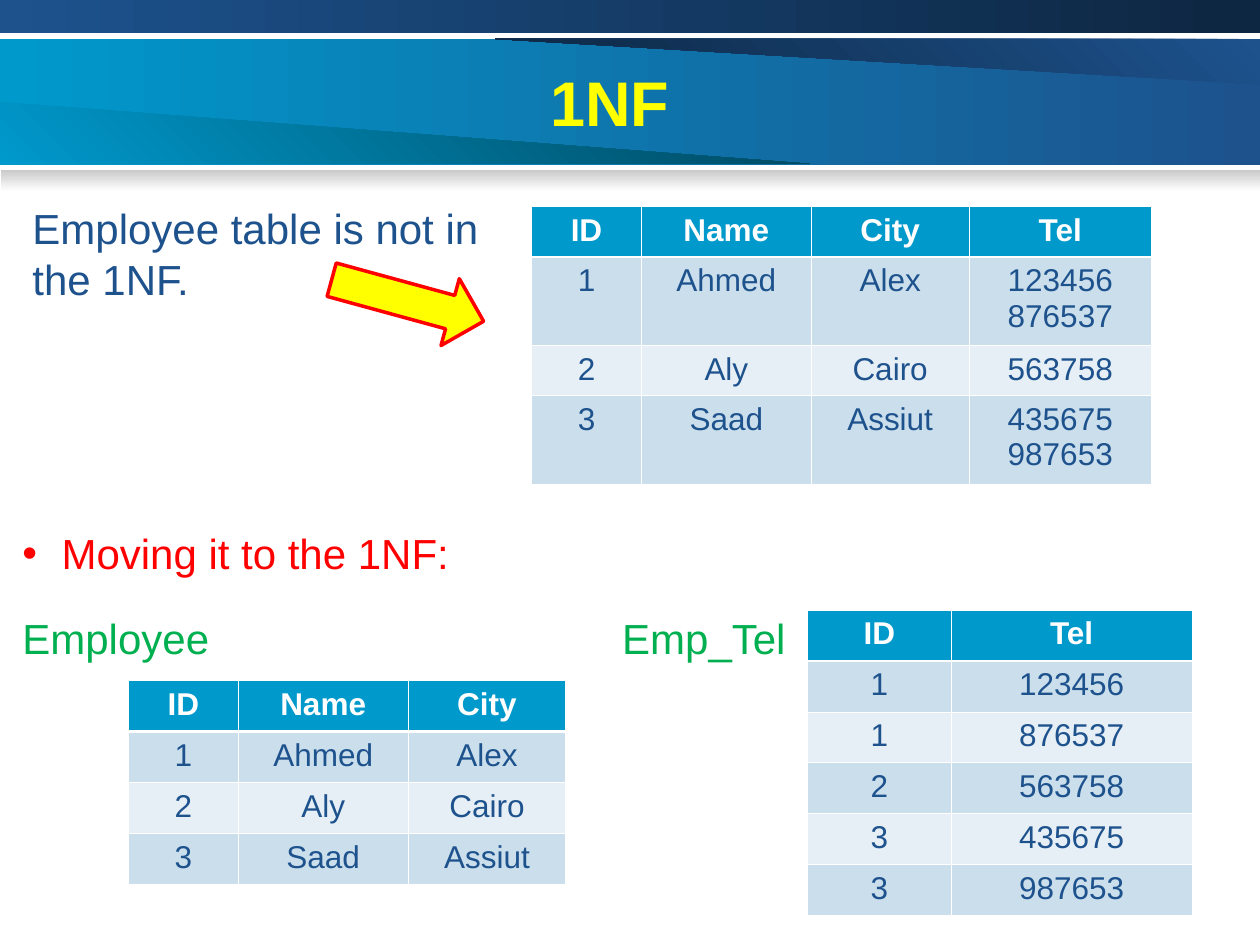
from dataclasses import dataclass
from lxml.etree import SubElement
from pptx import Presentation
from pptx.dml.color import RGBColor as Rgb
from pptx.enum.shapes import MSO_SHAPE as Shape
from pptx.enum.text import MSO_ANCHOR as Anchor, MSO_AUTO_SIZE as AutoSize, PP_ALIGN as Align
from pptx.oxml.ns import qn
from pptx.util import Inches, Pt


@dataclass(frozen=True)
class Theme:
    font: str = "Arial"
    title_size: int = 36
    body_size: int = 24
    cell_size: int = 18
    white: str = "FFFFFF"
    sky: str = "0099CC"
    navy: str = "1D528D"
    midnight: str = "0D2641"
    teal: str = "00475E"
    shade: str = "CACACA"
    odd_row: str = "CBDEEC"
    even_row: str = "E7EFF6"
    yellow: str = "FFFF00"
    red: str = "FF0000"
    green: str = "00B050"


theme = Theme()
deck = Presentation()
deck.slide_width, deck.slide_height = Inches(10), Inches(7.5)
COL, ROW = deck.slide_width / 100, deck.slide_height / 75
slide = deck.slides.add_slide(deck.slide_layouts[5])
shapes = slide.shapes


def grid(left, top, width, height):
    """Turn grid columns and rows into a position and size."""
    return [round(n * unit) for n, unit in zip((left, top, width, height), (COL, ROW, COL, ROW))]


def style(paragraph, size, color, bold=False, align=Align.LEFT):
    paragraph.alignment = align
    look = {"name": theme.font, "size": Pt(size), "bold": bold}
    for key, value in look.items():
        setattr(paragraph.font, key, value)
    paragraph.font.color.rgb = Rgb.from_string(color)


# Header bands, from back to front: outline, start colour, end colour, angle
bands = [
    ([(0, 3.1), (100, 3.1), (100, 13.1), (0, 13.1)], theme.sky, theme.navy, 0),
    ([(39.3, 3.1), (100, 3.1), (100, 6.7)], theme.navy, theme.midnight, 225),
    ([(0, 8.1), (64.3, 13), (0, 13)], theme.sky, theme.teal, 45),
    ([(0, 0), (100, 0), (100, 2.6), (0, 2.6)], theme.navy, theme.midnight, 0),
    ([(0.1, 13.5), (100, 13.5), (100, 15.2), (0.1, 15.2)], theme.shade, theme.white, 270),
]
for outline, start, end, angle in bands:
    if len(outline) == 4:
        (left, top), (right, bottom) = outline[0], outline[2]
        band = shapes.add_shape(Shape.RECTANGLE, *grid(left, top, right - left, bottom - top))
    else:
        points = [(x * COL, y * ROW) for x, y in outline]
        builder = shapes.build_freeform(*points[0])
        builder.add_line_segments(points[1:])
        band = builder.convert_to_shape()
    band.shadow.inherit = False
    band.line.fill.background()
    band.fill.gradient()
    band.fill.gradient_angle = angle
    for stop, color, position in zip(band.fill.gradient_stops, (start, end), (0, 1)):
        stop.color.rgb = Rgb.from_string(color)
        stop.position = position

# Title, brought in front of the bands
title = shapes.title
shapes._spTree.append(title._element)
title.left, title.top, title.width, title.height = grid(3.1, 4.5, 90.6, 7)
title.text_frame.text = "1NF"
title.text_frame.auto_size = AutoSize.NONE
title.text_frame.vertical_anchor = Anchor.MIDDLE
style(title.text_frame.paragraphs[0], theme.title_size, theme.yellow, True, Align.CENTER)

# Statements and table captions
statements = [
    ("Employee table is not in the 1NF.", (1.6, 15.6, 38.3, 9), theme.navy, False),
    ("Moving it to the 1NF:", (0.8, 41.4, 57.8, 5), theme.red, True),
    ("Employee", (0.8, 48.1, 19.4, 5), theme.green, False),
    ("Emp_Tel", (48.4, 48.1, 22.7, 5), theme.green, False),
]
for wording, place, color, bulleted in statements:
    frame = shapes.add_textbox(*grid(*place)).text_frame
    frame.word_wrap = True
    frame.text = wording
    paragraph = frame.paragraphs[0]
    if bulleted:
        properties = paragraph._p.get_or_add_pPr()
        indent = round(3.1 * COL)
        properties.set("marL", str(indent))
        properties.set("indent", str(-indent))
        SubElement(properties, qn("a:buFont"), typeface=theme.font)
        SubElement(properties, qn("a:buChar"), char="•")
    style(paragraph, theme.body_size, color)

arrow = shapes.add_shape(Shape.RIGHT_ARROW, *grid(26.1, 21.1, 12.5, 5.5))
arrow.rotation = 15.3
arrow.shadow.inherit = False
arrow.fill.solid()
arrow.fill.fore_color.rgb = Rgb.from_string(theme.yellow)
arrow.line.color.rgb = Rgb.from_string(theme.red)
arrow.line.width = Pt(2)

# Employee relation before and after normalisation
employees = [
    ("1", "Ahmed", "Alex", ["123456", "876537"]),
    ("2", "Aly", "Cairo", ["563758"]),
    ("3", "Saad", "Assiut", ["435675", "987653"]),
]
unnormalised = [("ID", "Name", "City", "Tel")]
employee = [("ID", "Name", "City")]
emp_tel = [("ID", "Tel")]
for key, name, city, phones in employees:
    unnormalised.append((key, name, city, "\n".join(phones)))
    employee.append((key, name, city))
    emp_tel += [(key, phone) for phone in phones]

relations = [
    (unnormalised, 42.2, 16.4, [8.7, 13.5, 12.5, 14.5], [4, 7, 4, 7]),
    (employee, 10.2, 54, [8.7, 13.5, 12.5], [4.05] * 4),
    (emp_tel, 64.1, 48.4, [11.4, 19.1], [4.05] * 6),
]
for records, left, top, widths, heights in relations:
    place = grid(left, top, sum(widths), sum(heights))
    table = shapes.add_table(len(heights), len(widths), *place).table
    for column, width in zip(table.columns, widths):
        column.width = round(width * COL)
    for r, (record, height) in enumerate(zip(records, heights)):
        table.rows[r].height = round(height * ROW)
        header = r == 0
        row_fill = theme.sky if header else theme.odd_row if r % 2 else theme.even_row
        for c, value in enumerate(record):
            cell = table.cell(r, c)
            cell.text = value
            for paragraph in cell.text_frame.paragraphs:
                style(paragraph, theme.cell_size, theme.white if header else theme.navy,
                      header, Align.CENTER)
            for side in "LRTB":
                under_header = (r, side) in ((0, "B"), (1, "T"))
                border = SubElement(cell._tc.get_or_add_tcPr(), qn(f"a:ln{side}"),
                                    w=str(Pt(1.47 if under_header else 0.45)))
                SubElement(SubElement(border, qn("a:solidFill")), qn("a:srgbClr"), val=theme.white)
            cell.fill.solid()
            cell.fill.fore_color.rgb = Rgb.from_string(row_fill)

deck.save("out.pptx")
